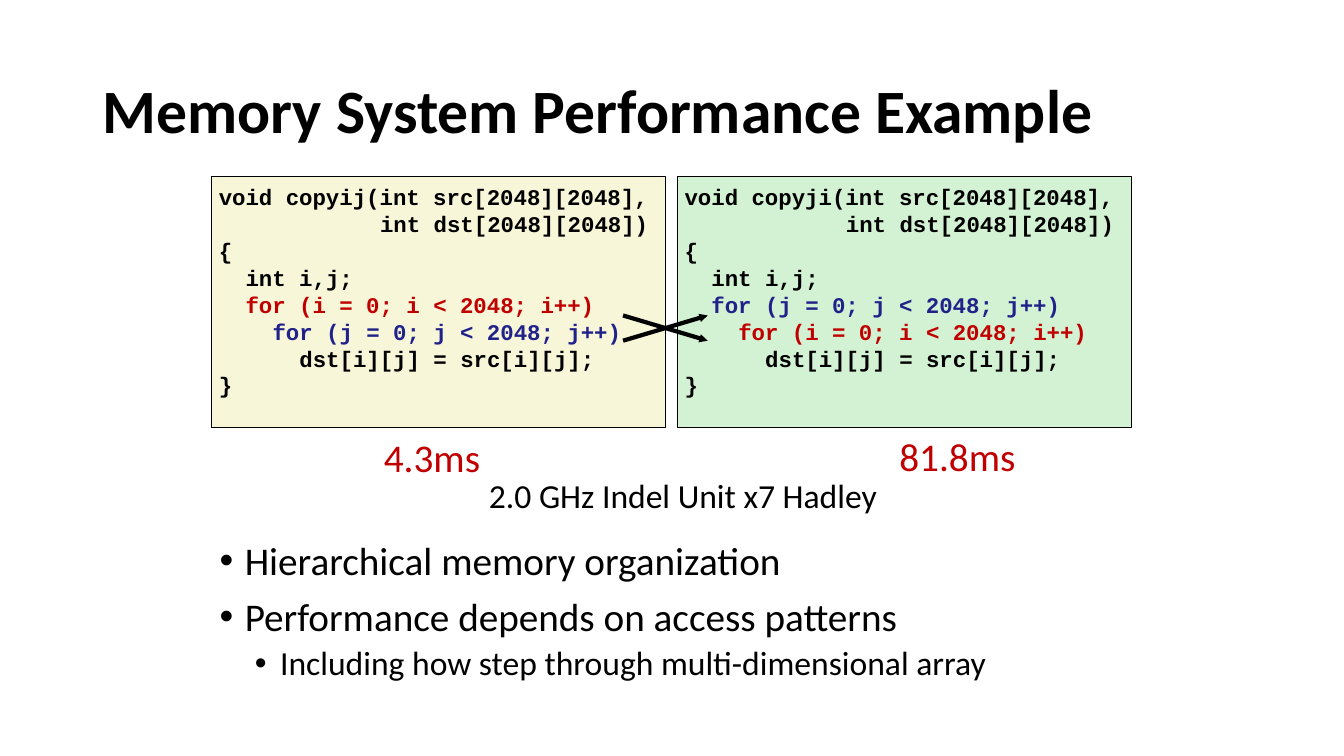
from dataclasses import dataclass

from lxml import etree
from pptx import Presentation
from pptx.dml.color import RGBColor
from pptx.enum.shapes import MSO_CONNECTOR, MSO_SHAPE
from pptx.enum.text import MSO_ANCHOR, MSO_AUTO_SIZE, PP_ALIGN
from pptx.oxml.ns import qn
from pptx.util import Inches, Pt

LEFT = PP_ALIGN.LEFT
TOP, MIDDLE = MSO_ANCHOR.TOP, MSO_ANCHOR.MIDDLE
NO_FIT, GROW = MSO_AUTO_SIZE.NONE, MSO_AUTO_SIZE.SHAPE_TO_FIT_TEXT
RECT, STRAIGHT = MSO_SHAPE.RECTANGLE, MSO_CONNECTOR.STRAIGHT
WIDTH, HEIGHT = Inches(13.33), Inches(7.5)


@dataclass(frozen=True)
class Theme:
    sans: str = "Calibri"
    mono: str = "Courier New"
    ink: str = "000000"
    red: str = "C00000"
    blue: str = "21218A"
    cream: str = "F8F6D9"
    mint: str = "D3F2D3"
    title: int = 44
    large: int = 28
    small: int = 24
    code: int = 16


THEME = Theme()


@dataclass(frozen=True)
class Box:
    """A frame in percent of the slide's width and height."""
    x: float
    y: float
    w: float
    h: float

    def frame(self) -> tuple[int, int, int, int]:
        return across(self.x), down(self.y), across(self.w), down(self.h)


@dataclass(frozen=True)
class Panel:
    name: str
    fill: str
    loops: tuple[str, str]


@dataclass(frozen=True)
class Label:
    text: str
    box: Box
    size: int
    color: str
    pad: tuple[float, float] = (0.04, 0.04)


@dataclass(frozen=True)
class Bullet:
    text: str
    size: int
    indent: float
    before: int
    level: int = 0


TITLE = "Memory System Performance Example"
TITLE_BOX = Box(6.9, 5.33, 86.27, 19.33)
LIST_BOX = Box(15.6, 70.93, 68.79, 22.4)
PANEL_BOX = Box(15.75, 23.33, 33.76, 33.2)
PANEL_STEP = 34.66
SWAP_X = (46.36, 52.66)
SWAP_Y = (41.73, 45.07)

LOOP_COLORS = {"i": THEME.red, "j": THEME.blue}
PANELS = (
    Panel("copyij", THEME.cream, ("i", "j")),
    Panel("copyji", THEME.mint, ("j", "i")),
)
LABELS = (
    Label("4.3ms", Box(27.83, 56.67, 8.85, 7.6), THEME.large, THEME.red,
          (0.1, 0.05)),
    Label("81.8ms", Box(66.62, 56.67, 9.45, 7.47), THEME.large, THEME.red),
    Label("2.0 GHz Indel Unit x7 Hadley", Box(36.08, 62.27, 30.6, 6.53),
          THEME.small, THEME.ink),
)
BULLETS = (
    Bullet("Hierarchical memory organization", THEME.large, 0.25, 10),
    Bullet("Performance depends on access patterns", THEME.large, 0.25, 10),
    Bullet("Including how step through multi-dimensional array",
           THEME.small, 0.6, 5, 1),
)


def across(pct: float) -> int:
    return round(WIDTH * pct / 100)


def down(pct: float) -> int:
    return round(HEIGHT * pct / 100)


def add_run(para, text: str, size: int, color: str = THEME.ink,
            font: str = THEME.sans, bold: bool = False) -> None:
    run = para.add_run()
    run.text = text
    run.font.name = font
    run.font.size = Pt(size)
    run.font.bold = bold
    run.font.color.rgb = RGBColor.from_string(color)


def set_pad(frame, x: float, y: float) -> None:
    frame.margin_left = frame.margin_right = Inches(x)
    frame.margin_top = frame.margin_bottom = Inches(y)


def set_indent(para, left: int, first: int = 0) -> None:
    props = para._p.get_or_add_pPr()
    props.set("marL", str(left))
    props.set("indent", str(first))


def paras(frame, count: int) -> list:
    return [frame.paragraphs[0]] + [frame.add_paragraph()
                                    for _ in range(count - 1)]


def add_title(slide) -> None:
    shape = slide.shapes.title
    shape.left, shape.top, shape.width, shape.height = TITLE_BOX.frame()
    frame = shape.text_frame
    frame.auto_size = NO_FIT
    frame.vertical_anchor = MIDDLE
    para = frame.paragraphs[0]
    para.alignment = LEFT
    para.line_spacing = 0.9
    set_indent(para, Inches(0.13), Inches(-0.13))
    add_run(para, TITLE, THEME.title, bold=True)


def add_panel(slide, panel: Panel, col: int) -> None:
    box = Box(PANEL_BOX.x + col * PANEL_STEP, PANEL_BOX.y,
              PANEL_BOX.w, PANEL_BOX.h)
    shape = slide.shapes.add_shape(RECT, *box.frame())
    shape.shadow.inherit = False
    shape.fill.solid()
    shape.fill.fore_color.rgb = RGBColor.from_string(panel.fill)
    shape.line.color.rgb = RGBColor.from_string(THEME.ink)
    shape.line.width = Pt(0.5)
    frame = shape.text_frame
    frame.word_wrap = True
    frame.vertical_anchor = TOP
    set_pad(frame, 0.07, 0.07)
    loops = [(2 + 2 * depth, f"for ({v} = 0; {v} < 2048; {v}++)",
              LOOP_COLORS[v]) for depth, v in enumerate(panel.loops)]
    lines = [
        (0, f"void {panel.name}(int src[2048][2048],", THEME.ink),
        (12, "int dst[2048][2048])", THEME.ink),
        (0, "{", THEME.ink),
        (2, "int i,j;", THEME.ink),
        *loops,
        (6, "dst[i][j] = src[i][j];", THEME.ink),
        (0, "}", THEME.ink),
    ]
    for para, (chars, text, color) in zip(paras(frame, len(lines)), lines):
        para.alignment = LEFT
        set_indent(para, Pt(chars * THEME.code * 0.6))
        add_run(para, text, THEME.code, color, THEME.mono, True)


def add_arrow(slide, start: float, end: float) -> None:
    line = slide.shapes.add_connector(
        STRAIGHT, across(SWAP_X[0]), down(start), across(SWAP_X[1]), down(end))
    line.line.color.rgb = RGBColor.from_string(THEME.ink)
    line.line.width = Pt(3)
    props = line._element.spPr
    etree.SubElement(props.find(qn("a:ln")), qn("a:tailEnd"),
                     type="triangle", w="sm", len="sm")
    etree.SubElement(props, qn("a:effectLst"))


def add_label(slide, label: Label) -> None:
    frame = slide.shapes.add_textbox(*label.box.frame()).text_frame
    frame.word_wrap = False
    frame.auto_size = GROW
    set_pad(frame, *label.pad)
    add_run(frame.paragraphs[0], label.text, label.size, label.color)


def add_list(slide) -> None:
    frame = slide.shapes.add_textbox(*LIST_BOX.frame()).text_frame
    frame.word_wrap = True
    for para, item in zip(paras(frame, len(BULLETS)), BULLETS):
        para.level = item.level
        para.line_spacing = 0.9
        para.space_before = Pt(item.before)
        set_indent(para, Inches(item.indent), Inches(-0.25))
        props = para._p.get_or_add_pPr()
        etree.SubElement(props, qn("a:buFont"), typeface="Arial")
        etree.SubElement(props, qn("a:buChar"), char="•")
        add_run(para, item.text, item.size)


def main() -> None:
    deck = Presentation()
    deck.slide_width, deck.slide_height = WIDTH, HEIGHT
    slide = deck.slides.add_slide(deck.slide_layouts[5])
    add_title(slide)
    add_list(slide)
    for col, panel in enumerate(PANELS):
        add_panel(slide, panel, col)
    for start, end in (SWAP_Y, SWAP_Y[::-1]):
        add_arrow(slide, start, end)
    for label in LABELS:
        add_label(slide, label)
    deck.save("out.pptx")


if __name__ == "__main__":
    main()
